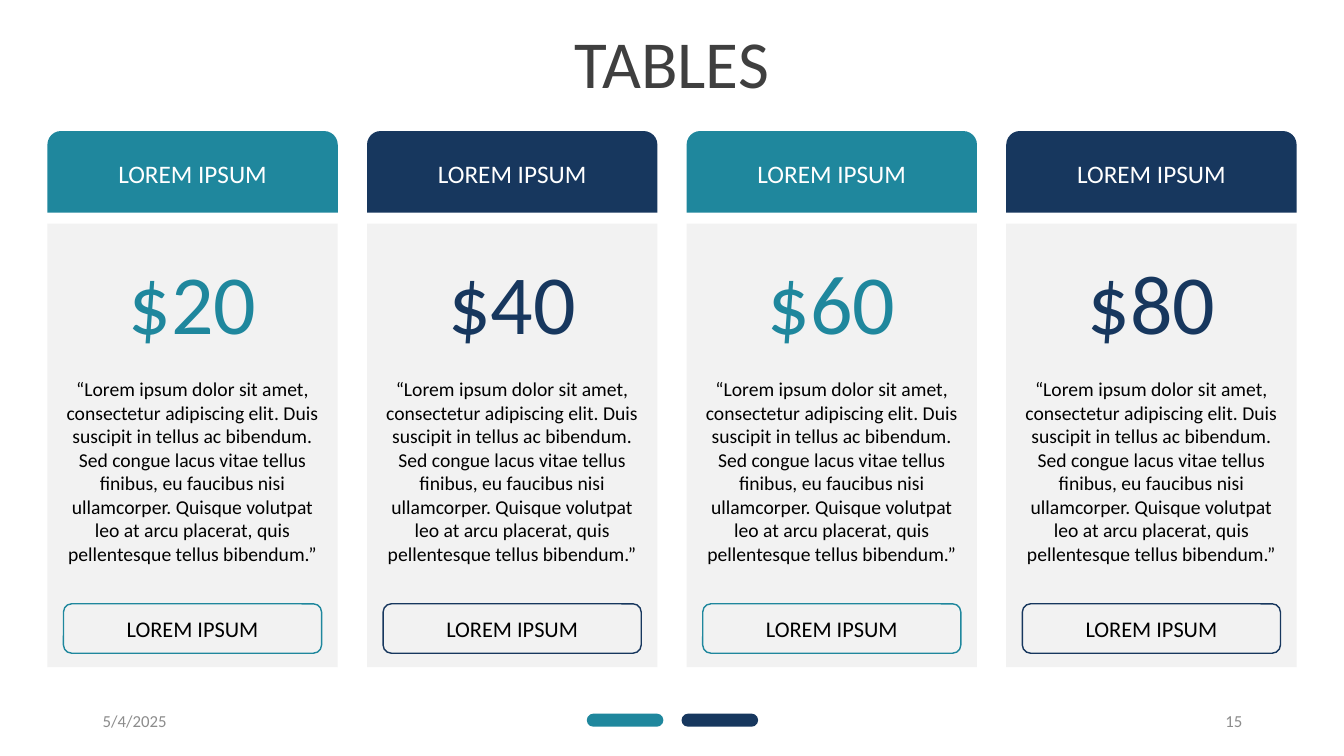
from pptx import Presentation
from pptx.dml.color import RGBColor
from pptx.enum.shapes import MSO_SHAPE
from pptx.enum.text import MSO_ANCHOR, PP_ALIGN
from pptx.util import Inches, Pt

TEAL, NAVY, PALE, GREY = "1F879D", "17375E", "F2F2F2", "8C8C8C"
WHITE, BLACK, CHARCOAL = "FFFFFF", "000000", "3F3F3F"
QUOTE = ("“Lorem ipsum dolor sit amet, consectetur adipiscing elit. Duis suscipit "
         "in tellus ac bibendum. Sed congue lacus vitae tellus finibus, eu faucibus "
         "nisi ullamcorper. Quisque volutpat leo at arcu placerat, quis "
         "pellentesque tellus bibendum.”")

prs = Presentation()
prs.slide_width, prs.slide_height = Inches(13.33), Inches(7.5)
s = prs.slides.add_slide(prs.slide_layouts[6])


def add_block(kind, x, y, w, h, fill=None, line=None):
    """Add a preset shape, or a text box when kind is None."""
    box = [Inches(v) for v in (x, y, w, h)]
    if kind is None:
        return s.shapes.add_textbox(*box)
    sp = s.shapes.add_shape(kind, *box)
    sp.shadow.inherit = False
    if fill:
        sp.fill.solid()
        sp.fill.fore_color.rgb = RGBColor.from_string(fill)
    else:
        sp.fill.background()
    if line:
        sp.line.color.rgb = RGBColor.from_string(line)
        sp.line.width = Pt(1)
    else:
        sp.line.fill.background()
    return sp


def write(sp, text, size, color, align=PP_ALIGN.CENTER, anchor=MSO_ANCHOR.MIDDLE, inset=0.0):
    tf = sp.text_frame
    tf.word_wrap = True
    tf.vertical_anchor = anchor
    tf.margin_left = tf.margin_right = Inches(inset)
    tf.margin_top = tf.margin_bottom = Inches(inset / 2)
    tf.text = text
    p = tf.paragraphs[0]
    p.alignment = align
    font = p.runs[0].font
    font.name, font.size = "Calibri", Pt(size)
    font.color.rgb = RGBColor.from_string(color)


# Grid: four equal cards across the content width
left, content_w, gap = 0.47, 12.39, 0.29
prices = ["$20", "$40", "$60", "$80"]
card_w = (content_w - gap * (len(prices) - 1)) / len(prices)
pad = 0.16
inner_w = card_w - 2 * pad

# Title
write(add_block(None, left, 0.21, content_w, 0.81), "TABLES", 48, CHARCOAL,
      anchor=MSO_ANCHOR.TOP)

# Footer: two pills, date and page number
for i, color in enumerate([TEAL, NAVY]):
    sp = add_block(MSO_SHAPE.ROUNDED_RECTANGLE, 5.82 + i * 0.94, 7.08, 0.76, 0.13, color)
    sp.adjustments[0] = 0.5
for x, text, align in [(0.92, "5/4/2025", PP_ALIGN.LEFT), (9.42, "15", PP_ALIGN.RIGHT)]:
    write(add_block(None, x, 6.95, 3, 0.4), text, 12, GREY, align, inset=0.1)

# Price cards
for i, price in enumerate(prices):
    x = left + i * (card_w + gap)
    color = [TEAL, NAVY][i % 2]

    # Header and panel
    header = add_block(MSO_SHAPE.ROUND_2_SAME_RECTANGLE, x, 1.3, card_w, 0.81, color)
    write(header, "LOREM IPSUM", 18, WHITE, inset=0.1)
    add_block(MSO_SHAPE.RECTANGLE, x, 2.22, card_w, 4.4, PALE)

    # Price, description and button
    write(add_block(None, x + 0.4, 2.48, card_w - 0.8, 1.01), price, 60, color)
    write(add_block(None, x + pad, 3.74, inner_w, 1.88), QUOTE, 14, BLACK,
          anchor=MSO_ANCHOR.TOP)
    button = add_block(MSO_SHAPE.ROUNDED_RECTANGLE, x + pad, 5.99, inner_w, 0.49, line=color)
    write(button, "LOREM IPSUM", 16, BLACK, inset=0.1)

prs.save("out.pptx")
